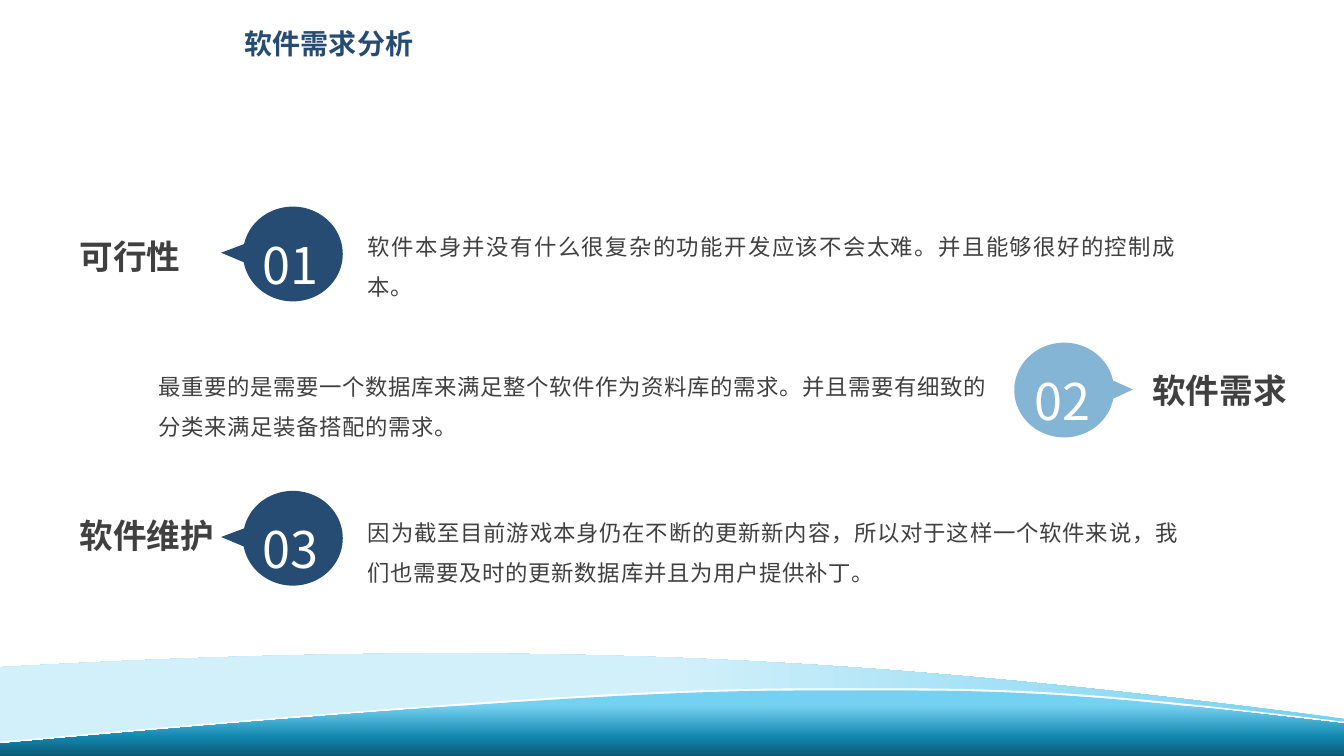
from lxml.etree import SubElement
from pptx import Presentation
from pptx.dml.color import RGBColor
from pptx.enum.shapes import MSO_SHAPE
from pptx.enum.text import MSO_AUTO_SIZE, PP_ALIGN
from pptx.oxml.ns import qn
from pptx.util import Inches, Pt

NAVY = RGBColor(0x26, 0x4C, 0x73)
LIGHT_BLUE = RGBColor(0x84, 0xB5, 0xD5)
GRAY = RGBColor(0x40, 0x40, 0x40)
WHITE = RGBColor(0xFF, 0xFF, 0xFF)
SKY = RGBColor(0x75, 0xD1, 0xF1)
PALE = RGBColor(0xD1, 0xF0, 0xFA)
TEAL = RGBColor(0x12, 0x87, 0xAF)
DEEP_TEAL = RGBColor(0x0C, 0x5A, 0x75)

BODY_FONT = "Noto Sans CJK SC"
LABEL_FONT = "Montserrat"
TITLE_FONT = "Arial"

HILL = [[(0, 6.62)],
        [(5.92, 6.28), (9.33, 6.62), (13.33, 7.13)],
        [(13.33, 7.36), (13.33, 7.09), (13.33, 7.33)],
        [(8.72, 6.41), (4.83, 7.18), (0, 7.41)],
        [(0, 6.62)]]
CREST = [(0, 7.38), (5.19, 6.91), (6.88, 6.85), (7.98, 6.85),
         (8.35, 6.85), (8.65, 6.85), (8.99, 6.85),
         (10.36, 6.85), (11.31, 6.94), (13.33, 7.18)]

LEFT_POINTER = (2.41, -0.719, -0.013)
RIGHT_POINTER = (10.06, 0.689, -0.006)
ITEMS = [
    ("01", 0.9, 2.05, LEFT_POINTER, NAVY, (3.55, 2.13, 8.22, 0.46), PP_ALIGN.JUSTIFY,
     "软件本身并没有什么很复杂的功能开发应该不会太难。并且能够很好的控制成本。"),
    ("02", 0.8, 3.4, RIGHT_POINTER, LIGHT_BLUE, (1.47, 3.52, 8.45, 0.86), None,
     "最重要的是需要一个数据库来满足整个软件作为资料库的需求。并且需要有细致的分类来满足装备搭配的需求。"),
    ("03", 0.8, 4.87, LEFT_POINTER, NAVY, (3.55, 4.97, 8.25, 0.86), PP_ALIGN.JUSTIFY,
     "因为截至目前游戏本身仍在不断的更新新内容，所以对于这样一个软件来说，我们也需要及时的更新数据库并且为用户提供补丁。"),
]
LABELS = [("可行性", (0.69, 2.29, 1.21, 0.5)),
          ("软件需求", (11.33, 3.62, 1.55, 0.5)),
          ("软件维护", (0.69, 5.06, 1.55, 0.5))]


def crest(shift=0, backward=False):
    """Return the crest as a start point and curves, moved down by shift."""
    points = [(x, round(y + shift, 2)) for x, y in CREST]
    if backward:
        points.reverse()
    return [points[:1]] + [points[i:i + 3] for i in range(1, len(points), 3)]


class SlideBuilder:
    """Holds the current slide and draws its elements in one style."""

    def __init__(self, slide):
        self.slide = slide

    def wave(self, top, height, segments, color=WHITE, stops=(), angle=0):
        """Draw a closed outline of lines and curves across the slide."""
        bottom = top + height
        builder = self.slide.shapes.build_freeform(0, Inches(top))
        builder.add_line_segments([(Inches(x), Inches(y)) for x, y in
                                   ((13.33, top), (13.33, bottom), (0, bottom))])
        shape = builder.convert_to_shape()
        outline = shape.element.spPr.find(".//" + qn("a:path"))
        for command in list(outline):
            outline.remove(command)
        for index, points in enumerate(segments):
            kind = "a:cubicBezTo" if len(points) == 3 else "a:lnTo"
            command = SubElement(outline, qn(kind if index else "a:moveTo"))
            for x, y in points:
                SubElement(command, qn("a:pt"), x=str(Inches(x)), y=str(Inches(y - top)))
        SubElement(outline, qn("a:close"))
        self.finish(shape, color)
        if stops:
            self.gradient(shape, stops, angle)

    def gradient(self, shape, stops, angle):
        """Fill a shape with a linear gradient."""
        shape.fill.gradient()
        gradient = shape.element.spPr.find(qn("a:gradFill"))
        stop_list = gradient.find(qn("a:gsLst"))
        for old_stop in list(stop_list):
            stop_list.remove(old_stop)
        for position, color in stops:
            stop = SubElement(stop_list, qn("a:gs"), pos=str(position * 1000))
            SubElement(stop, qn("a:srgbClr"), val=str(color))
        gradient.find(qn("a:lin")).set("ang", str(angle * 60000))

    def finish(self, shape, color):
        """Give a shape a plain fill without line or shadow."""
        shape.shadow.inherit = False
        shape.fill.solid()
        shape.fill.fore_color.rgb = color
        shape.line.fill.background()

    def text(self, words, box, size, color, font=BODY_FONT, bold=False, wrap=True,
             spacing=None, align=None, tracking=0, shapes=None):
        """Add a text box with one formatted paragraph."""
        shapes = shapes or self.slide.shapes
        text_frame = shapes.add_textbox(*map(Inches, box)).text_frame
        text_frame.word_wrap = wrap
        text_frame.auto_size = MSO_AUTO_SIZE.SHAPE_TO_FIT_TEXT
        text_frame.text = words
        paragraph = text_frame.paragraphs[0]
        paragraph.line_spacing = spacing
        paragraph.alignment = align
        paragraph._p.get_or_add_pPr().set("hangingPunct", "0")
        run = paragraph.runs[0]
        run.font.size = Pt(size)
        run.font.bold = bold
        run.font.name = font
        run.font.color.rgb = color
        properties = run.font._element
        SubElement(properties, qn("a:ea"), typeface=BODY_FONT)
        if tracking:
            properties.set("spc", str(int(tracking * 100)))

    def item(self, number, number_width, top, pointer, color, box, align, words):
        """Add a numbered callout grouped with its description."""
        left, tip_x, tip_y = pointer
        shapes = self.slide.shapes.add_group_shape().shapes
        callout = shapes.add_shape(MSO_SHAPE.OVAL_CALLOUT, Inches(left), Inches(top),
                                   Inches(0.99), Inches(0.94))
        callout.adjustments[0] = tip_x
        callout.adjustments[1] = tip_y
        self.finish(callout, color)
        self.text(number, (left + 0.1, top - 0.08, number_width, 0.9), 36, WHITE,
                  spacing=1.5, align=PP_ALIGN.JUSTIFY, shapes=shapes)
        self.text(words, box, 16, GRAY, spacing=1.5, align=align,
                  tracking=0.5, shapes=shapes)


def main():
    """Build the slide and save it."""
    presentation = Presentation()
    presentation.slide_width = Inches(13.33)
    presentation.slide_height = Inches(7.5)
    builder = SlideBuilder(presentation.slides.add_slide(presentation.slide_layouts[6]))

    builder.wave(6.48, 0.93, HILL,
                 stops=[(0, SKY), (50, PALE), (100, PALE)], angle=180)
    builder.wave(6.83, 0.64, crest(-0.02) + crest(0.08, backward=True))
    builder.wave(6.85, 0.65, crest() + [[(13.33, 7.5)], [(0, 7.5)]],
                 stops=[(23, SKY), (71, TEAL), (100, DEEP_TEAL)], angle=90)

    builder.text("软件需求分析", (2.33, 0.11, 1.88, 0.5), 20, NAVY, TITLE_FONT,
                 bold=True, wrap=False, spacing=1.3)
    for item in ITEMS:
        builder.item(*item)
    for words, box in LABELS:
        builder.text(words, box, 24, GRAY, LABEL_FONT, bold=True, wrap=False)
    presentation.save("out.pptx")


if __name__ == "__main__":
    main()
